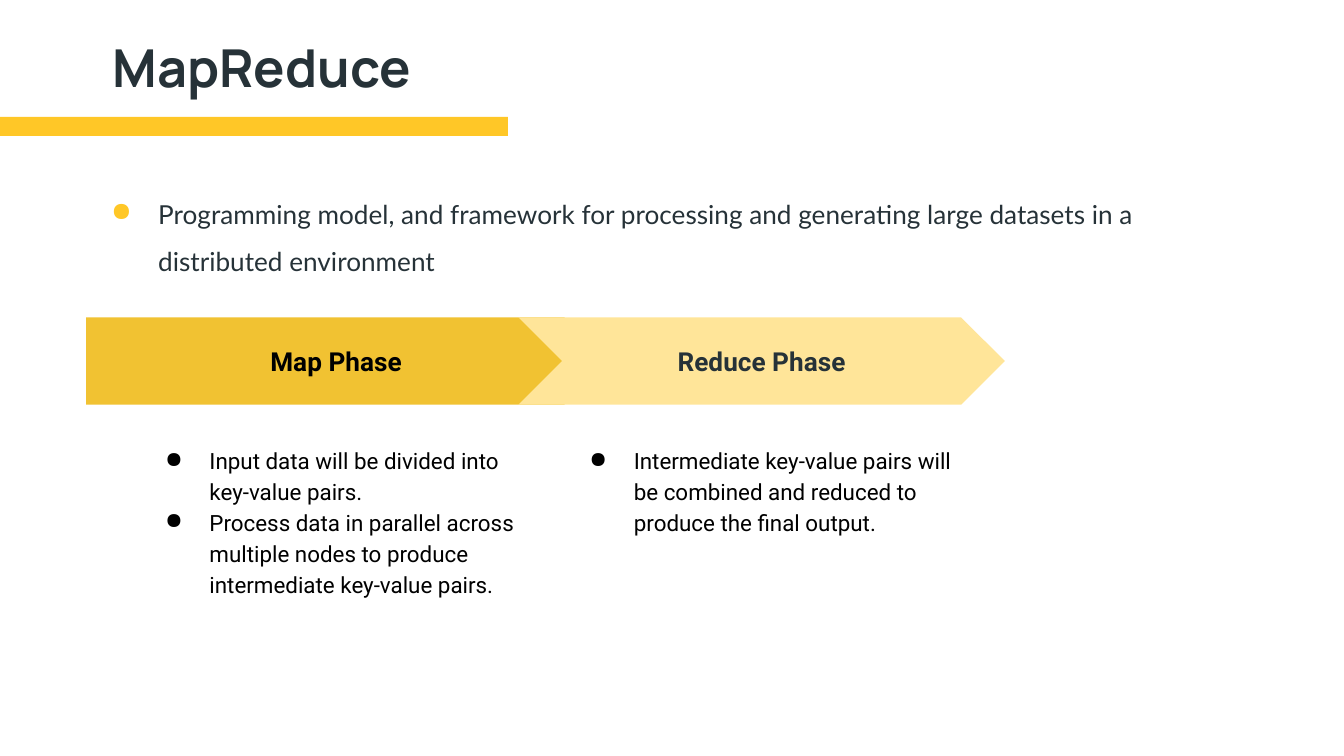
from pptx import Presentation
from pptx.dml.color import RGBColor
from pptx.enum.shapes import MSO_SHAPE as Preset
from pptx.enum.text import MSO_ANCHOR as Anchor, PP_ALIGN as Align
from pptx.oxml.ns import qn
from pptx.util import Cm, Pt
from lxml.etree import SubElement

COLORS = {
    "accent": "FFC727",
    "ink": "263238",
    "black": "000000",
    "map": "F1C232",
    "reduce": "FFE599",
}


def color(name):
    return RGBColor.from_string(COLORS[name])


def add_bullet(paragraph, bullet_color, left, hanging):
    properties = paragraph._p.get_or_add_pPr()
    properties.set("marL", str(Cm(left)))
    properties.set("indent", str(-Cm(hanging)))
    fill = SubElement(properties, qn("a:buClr"))
    SubElement(fill, qn("a:srgbClr"), val=COLORS[bullet_color])
    SubElement(properties, qn("a:buChar"), char="●")


def write_text(shape, *texts, font="Roboto", size=12, ink="black", bold=False,
               align=Align.LEFT, anchor=Anchor.TOP, spacing=1.0,
               bullet=None, hanging=0.84):
    frame = shape.text_frame
    frame.word_wrap = True
    frame.vertical_anchor = anchor
    frame.margin_left = frame.margin_right = Cm(0.25)
    frame.margin_top = frame.margin_bottom = Cm(0.25)
    for index, text in enumerate(texts):
        paragraph = frame.add_paragraph() if index else frame.paragraphs[0]
        paragraph.alignment = align
        paragraph.line_spacing = spacing
        if bullet:
            add_bullet(paragraph, bullet, 1.27, hanging)
        run = paragraph.add_run()
        run.text = text
        run.font.name = font
        run.font.size = Pt(size)
        run.font.bold = bold
        run.font.color.rgb = color(ink)


class SlideBuilder:
    def __init__(self, slide):
        self.slide = slide

    def block(self, preset, box, fill, shapes=None):
        shapes = shapes or self.slide.shapes
        shape = shapes.add_shape(preset, *map(Cm, box))
        shape.shadow.inherit = False
        shape.fill.solid()
        shape.fill.fore_color.rgb = color(fill)
        shape.line.fill.background()
        return shape

    def text(self, box, *texts, shapes=None, **style):
        shapes = shapes or self.slide.shapes
        write_text(shapes.add_textbox(*map(Cm, box)), *texts, **style)

    def phase(self, preset, name, points, left, width, text_left, fill, ink):
        shapes = self.slide.shapes.add_group_shape().shapes
        arrow = self.block(preset, (left, 6.0, width, 1.65), fill, shapes)
        arrow.adjustments[0] = 0.5
        write_text(arrow, name, size=14, ink=ink, bold=True,
                   align=Align.CENTER, anchor=Anchor.MIDDLE)
        self.text((text_left, 8.13, 7.85, 4.04), *points, shapes=shapes,
                  spacing=1.15, bullet="black")


def main():
    presentation = Presentation()
    presentation.slide_width = Cm(25.4)
    presentation.slide_height = Cm(14.29)
    builder = SlideBuilder(
        presentation.slides.add_slide(presentation.slide_layouts[6]))

    # Heading, its underline and the definition
    builder.block(Preset.RECTANGLE, (0, 2.21, 9.6, 0.36), "accent")
    builder.text(
        (1.47, 3.2, 20.45, 2.46),
        "Programming model, and framework for processing and generating "
        "large datasets in a distributed environment",
        font="Lato", size=14, ink="ink", spacing=1.5,
        bullet="accent", hanging=0.89)
    builder.text((1.88, 0.41, 21.92, 2.46), "MapReduce",
                 font="Manrope", size=28, ink="ink", bold=True)

    # The two phases, the second overlapping the first
    builder.phase(
        Preset.PENTAGON, "Map Phase",
        ["Input data will be divided into key-value pairs.",
         "Process data in parallel across multiple nodes to produce "
         "intermediate key-value pairs."],
        1.63, 9.86, 2.44, "map", "black")
    builder.phase(
        Preset.CHEVRON, "Reduce Phase",
        ["Intermediate key-value pairs will be combined and reduced to "
         "produce the final output."],
        9.8, 9.19, 10.46, "reduce", "ink")

    presentation.save("out.pptx")


if __name__ == "__main__":
    main()
